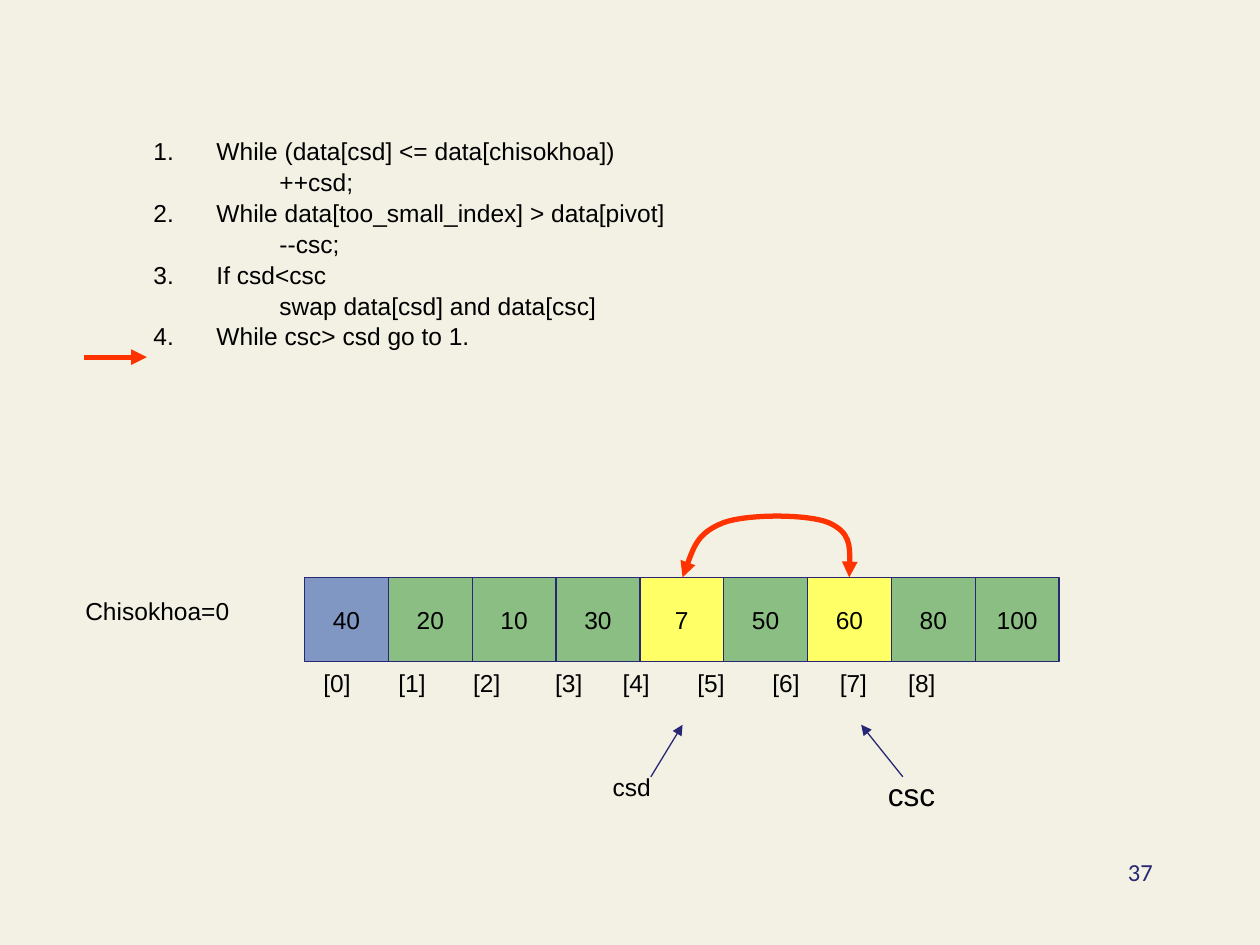
from lxml import etree
from pptx import Presentation
from pptx.dml.color import RGBColor
from pptx.enum.shapes import MSO_CONNECTOR as Connector, MSO_SHAPE as Preset
from pptx.enum.text import MSO_ANCHOR as Anchor, MSO_AUTO_SIZE as AutoSize, PP_ALIGN as Align
from pptx.oxml.ns import qn
from pptx.util import Cm, Pt

BLACK, NAVY, RED = "000000", "272776", "FF3300"
BLUE, GREEN, YELLOW = "7F97C2", "8BBE82", "FFFF66"

STEPS = [
    ("While (data[csd] <= data[chisokhoa])", "++csd;"),
    ("While data[too_small_index] > data[pivot]", "--csc;"),
    ("If csd<csc", "swap data[csd] and data[csc]"),
    ("While csc> csd go to 1.", None),
]
VALUES = [40, 20, 10, 30, 7, 50, 60, 80, 100]
CELL_COLOURS = {40: BLUE, 7: YELLOW, 60: YELLOW}
CELL_LEFT, CELL_TOP, CELL_SIZE = 6.14, 11.64, 1.69
INDEX_TABS = [1.51, 3.02, 4.67, 6.03, 7.54, 9.05, 10.41, 11.79]
SWAP_CURVE = [
    (13.76, 11.64), (13.92, 11.18), (14.07, 10.74), (14.58, 10.54),
    (15.06, 10.36), (16.28, 10.36), (16.71, 10.54),
    (17.15, 10.74), (17.15, 11.18), (17.12, 11.64),
]


def colour(value):
    return RGBColor.from_string(value)


def add_child(parent, tag, **attributes):
    return etree.SubElement(parent, qn(tag), attributes)


def format_runs(paragraph, size=14, font="Arial", text_colour=BLACK):
    for run in paragraph.runs:
        run.font.size = Pt(size)
        run.font.name = font
        run.font.color.rgb = colour(text_colour)


def set_indent(paragraph, margin, indent=0):
    properties = paragraph._p.get_or_add_pPr()
    properties.set("marL", str(Cm(margin)))
    properties.set("indent", str(Cm(indent)))
    return properties


def add_text(slide, text, left, top, width, height=1.02, **style):
    shape = slide.shapes.add_textbox(Cm(left), Cm(top), Cm(width), Cm(height))
    shape.text_frame.word_wrap = True
    shape.text_frame.text = text
    paragraph = shape.text_frame.paragraphs[0]
    format_runs(paragraph, **style)
    return paragraph


def add_steps(body):
    body.left, body.top, body.width, body.height = Cm(2.84), Cm(2.59), Cm(12.8), Cm(7.95)
    frame = body.text_frame
    frame.auto_size = AutoSize.NONE
    lines = [(text, number, level)
             for number, step in enumerate(STEPS, 1)
             for level, text in enumerate(step) if text]
    frame.text = "\n".join(text for text, _, _ in lines)
    for paragraph, (_, number, level) in zip(frame.paragraphs, lines):
        paragraph.level = level
        paragraph.space_before = Pt(0)
        paragraph.line_spacing = 1.05
        format_runs(paragraph)
        if level:
            add_child(set_indent(paragraph, 2.54), "a:buNone")
        else:
            properties = set_indent(paragraph, 1.27, -1.27)
            add_child(add_child(properties, "a:buClr"), "a:srgbClr", val=BLACK)
            add_child(properties, "a:buFont", typeface="Arial")
            add_child(properties, "a:buAutoNum", type="arabicPeriod", startAt=str(number))


def add_cell(slide, position, value):
    left = CELL_LEFT + position * CELL_SIZE
    shape = slide.shapes.add_shape(
        Preset.RECTANGLE, Cm(left), Cm(CELL_TOP), Cm(CELL_SIZE), Cm(CELL_SIZE))
    shape.shadow.inherit = False
    shape.fill.solid()
    shape.fill.fore_color.rgb = colour(CELL_COLOURS.get(value, GREEN))
    shape.line.color.rgb = colour(NAVY)
    shape.line.width = Pt(0.75)
    frame = shape.text_frame
    frame.word_wrap = False
    frame.vertical_anchor = Anchor.MIDDLE
    frame.text = str(value)
    frame.paragraphs[0].alignment = Align.CENTER
    format_runs(frame.paragraphs[0])


def add_index_labels(slide):
    labels = "\t".join(f"[{index}]" for index in range(len(VALUES)))
    paragraph = add_text(slide, labels, 6.27, 13.34, 17.15)
    tabs = add_child(paragraph._p.get_or_add_pPr(), "a:tabLst")
    for position in INDEX_TABS:
        add_child(tabs, "a:tab", pos=str(Cm(position)), algn="l")


def style_line(line, line_colour, width, ends=("a:tailEnd",)):
    line.color.rgb = colour(line_colour)
    line.width = Pt(width)
    for end in ends:
        add_child(line._get_or_add_ln(), end, type="triangle")


def add_arrow(slide, start, end, line_colour=NAVY, width=0.75):
    connector = slide.shapes.add_connector(
        Connector.STRAIGHT, *(Cm(value) for value in start + end))
    style_line(connector.line, line_colour, width)
    add_child(connector._element.spPr, "a:effectLst")


def add_swap_arrow(slide):
    points = [(Cm(x), Cm(y)) for x, y in SWAP_CURVE]
    builder = slide.shapes.build_freeform(*points[0])
    builder.add_line_segments(points[1:], close=False)
    shape = builder.convert_to_shape()
    shape.shadow.inherit = False
    shape.fill.background()
    style_line(shape.line, RED, 3, ("a:headEnd", "a:tailEnd"))
    outline = next(shape._element.iter(qn("a:moveTo"))).getparent()
    segments = outline.findall(qn("a:lnTo"))
    for first in range(0, len(segments), 3):
        curve = add_child(outline, "a:cubicBezTo")
        for segment in segments[first:first + 3]:
            curve.append(segment[0])
            outline.remove(segment)


def main():
    presentation = Presentation()
    presentation.slide_width, presentation.slide_height = Cm(25.4), Cm(19.05)
    slide = presentation.slides.add_slide(presentation.slide_layouts[1])
    slide.background.fill.solid()
    slide.background.fill.fore_color.rgb = colour("F3F1E4")
    title = slide.shapes.title._element
    title.getparent().remove(title)

    add_steps(slide.placeholders[1])
    for position, value in enumerate(VALUES):
        add_cell(slide, position, value)
    add_text(slide, "Chisokhoa=0", 1.47, 11.89, 3.84)
    set_indent(add_text(slide, "csd", 11, 15.44, 8.05), 1.1)
    add_text(slide, "csc", 17.65, 15.49, 4.57, size=18)
    add_arrow(slide, (18.2, 15.66), (17.36, 14.61))
    add_arrow(slide, (13.12, 15.66), (13.76, 14.61))
    add_arrow(slide, (1.69, 7.2), (2.96, 7.2), RED, 3)
    add_swap_arrow(slide)
    add_index_labels(slide)
    number = add_text(slide, "37", 18.2, 17.15, 5.29, 1.27, font="Calibri", text_colour=NAVY)
    number.alignment = Align.RIGHT

    presentation.save("out.pptx")


if __name__ == "__main__":
    main()
